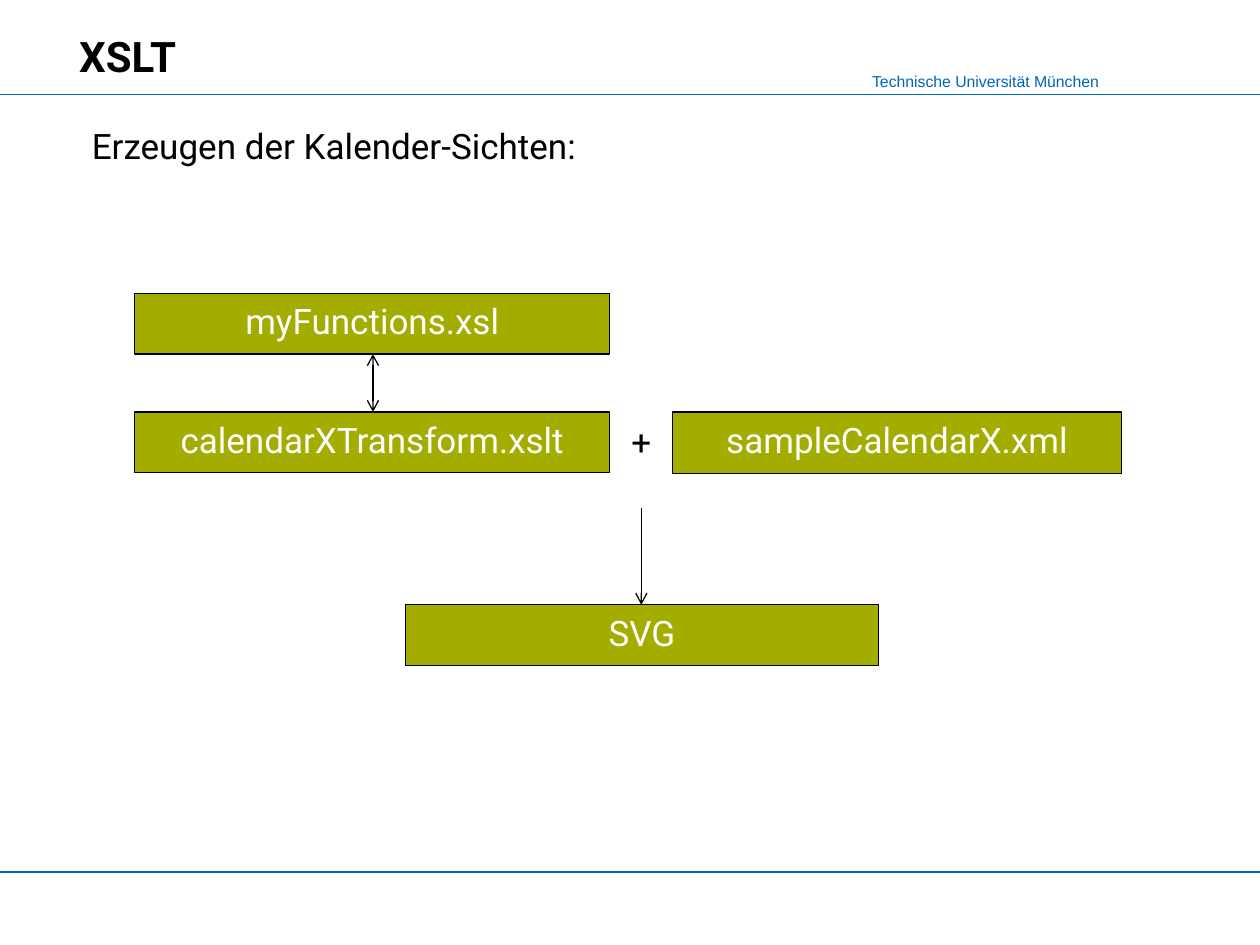
from lxml import etree
from pptx import Presentation
from pptx.dml.color import RGBColor
from pptx.enum.shapes import MSO_CONNECTOR, MSO_SHAPE
from pptx.enum.text import MSO_ANCHOR, PP_ALIGN
from pptx.oxml.ns import qn
from pptx.util import Inches, Pt

STRAIGHT = MSO_CONNECTOR.STRAIGHT
RECTANGLE = MSO_SHAPE.RECTANGLE
TOP, BOTTOM = MSO_ANCHOR.TOP, MSO_ANCHOR.BOTTOM
LEFT, CENTER, RIGHT = PP_ALIGN.LEFT, PP_ALIGN.CENTER, PP_ALIGN.RIGHT

BLACK = RGBColor(0x00, 0x00, 0x00)
WHITE = RGBColor(0xFF, 0xFF, 0xFF)
BLUE = RGBColor(0x00, 0x65, 0xBD)
GREEN = RGBColor(0xA2, 0xAD, 0x00)

prs = Presentation()
prs.slide_width, prs.slide_height = Inches(10), Inches(7.5)
s = prs.slides.add_slide(prs.slide_layouts[6])


def add_text(text, x, y, w, h, size=20, font="Roboto", color=BLACK, bold=False,
             align=LEFT, anchor=TOP, wrap=True, bottom=0.05, fill=None):
    """Add a text box, or a filled and outlined rectangle if fill is given."""
    box = Inches(x), Inches(y), Inches(w), Inches(h)
    if fill is None:
        sp = s.shapes.add_textbox(*box)
    else:
        sp = s.shapes.add_shape(RECTANGLE, *box)
        sp.shadow.inherit = False
        sp.fill.solid()
        sp.fill.fore_color.rgb = fill
        sp.line.color.rgb = BLACK
        sp.line.width = Pt(0.75)
    tf = sp.text_frame
    tf.word_wrap = wrap
    tf.vertical_anchor = anchor
    tf.margin_bottom = Inches(bottom)
    p = tf.paragraphs[0]
    p.alignment = align
    r = p.add_run()
    r.text = text
    r.font.size = Pt(size)
    r.font.name = font
    r.font.bold = bold
    r.font.color.rgb = color


def add_line(x1, y1, x2, y2, color=BLACK, arrows=()):
    """Add a straight line; arrows names the ends to mark, headEnd first."""
    line = s.shapes.add_connector(STRAIGHT, Inches(x1), Inches(y1), Inches(x2), Inches(y2))
    line.line.color.rgb = color
    line.line.width = Pt(0.75)
    ln = line.line._get_or_add_ln()
    for end in arrows:
        etree.SubElement(ln, qn("a:" + end), type="arrow")
    etree.SubElement(line._element.spPr, qn("a:effectLst"))


# Header and footer
add_text("Technische Universität München", 6.81, 0.52, 2.01, 0.25, size=9,
         font="Arial", color=BLUE, align=RIGHT, wrap=False)
for y in (0.75, 6.92):
    add_line(0, y, 10, y, color=BLUE)

add_text("XSLT", 0.53, 0, 8.89, 0.67, size=24, bold=True, anchor=BOTTOM, bottom=0.03)
add_text("Erzeugen der Kalender-Sichten:", 0.63, 0.94, 4.31, 0.44, wrap=False)

# Transformation diagram
files = [
    ("myFunctions.xsl", 1.07, 2.33, 3.77, 0.48),
    ("calendarXTransform.xslt", 1.07, 3.27, 3.77, 0.48),
    ("sampleCalendarX.xml", 5.34, 3.27, 3.56, 0.49),
    ("SVG", 3.22, 4.8, 3.75, 0.48),
]
for name, x, y, w, h in files:
    add_text(name, x, y, w, h, color=WHITE, align=CENTER, fill=GREEN)

add_text("+", 4.84, 3.29, 0.5, 0.44, align=CENTER)
add_line(2.96, 3.27, 2.96, 2.81, arrows=("headEnd", "tailEnd"))
add_line(5.09, 4.03, 5.09, 4.8, arrows=("tailEnd",))

prs.save("out.pptx")
